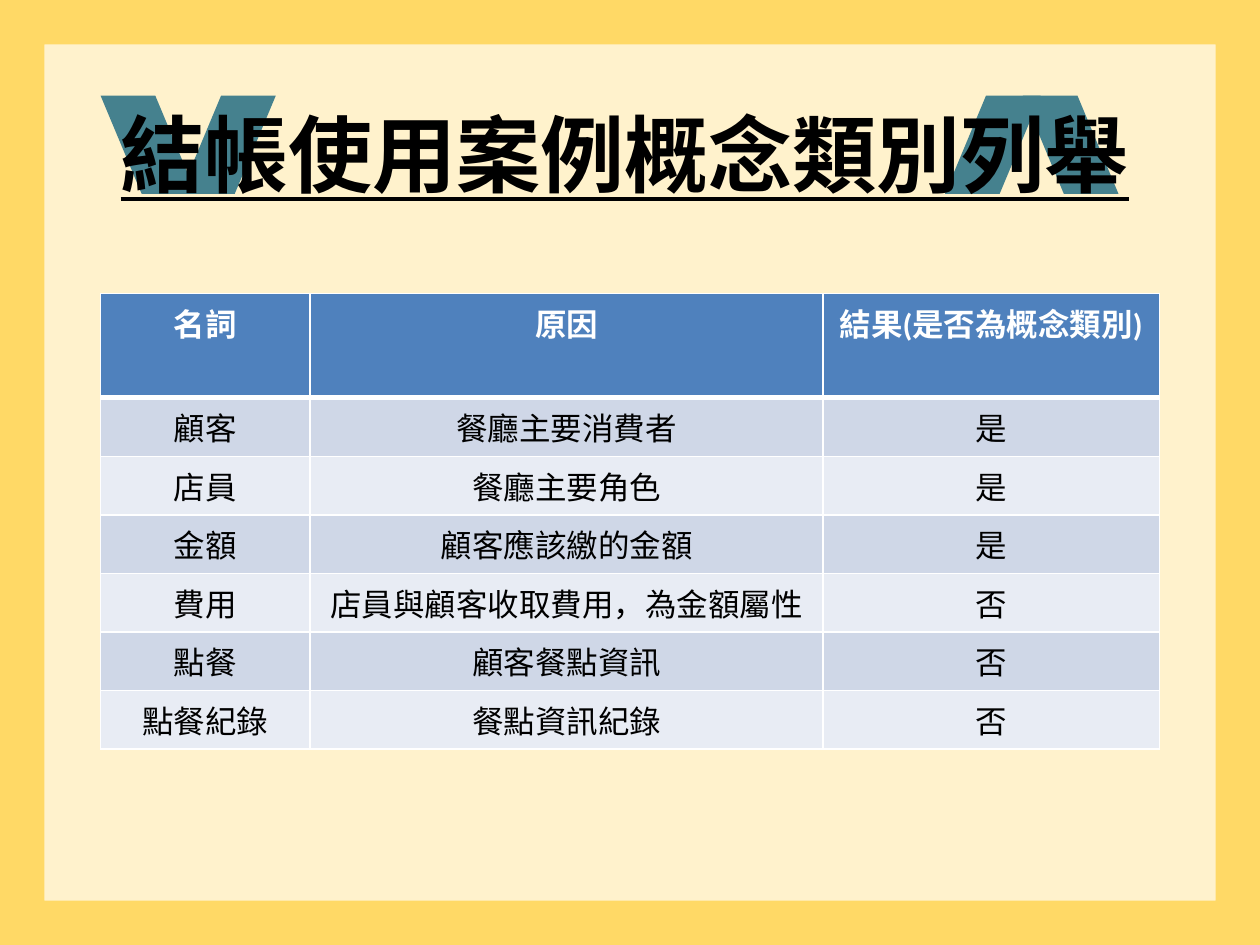
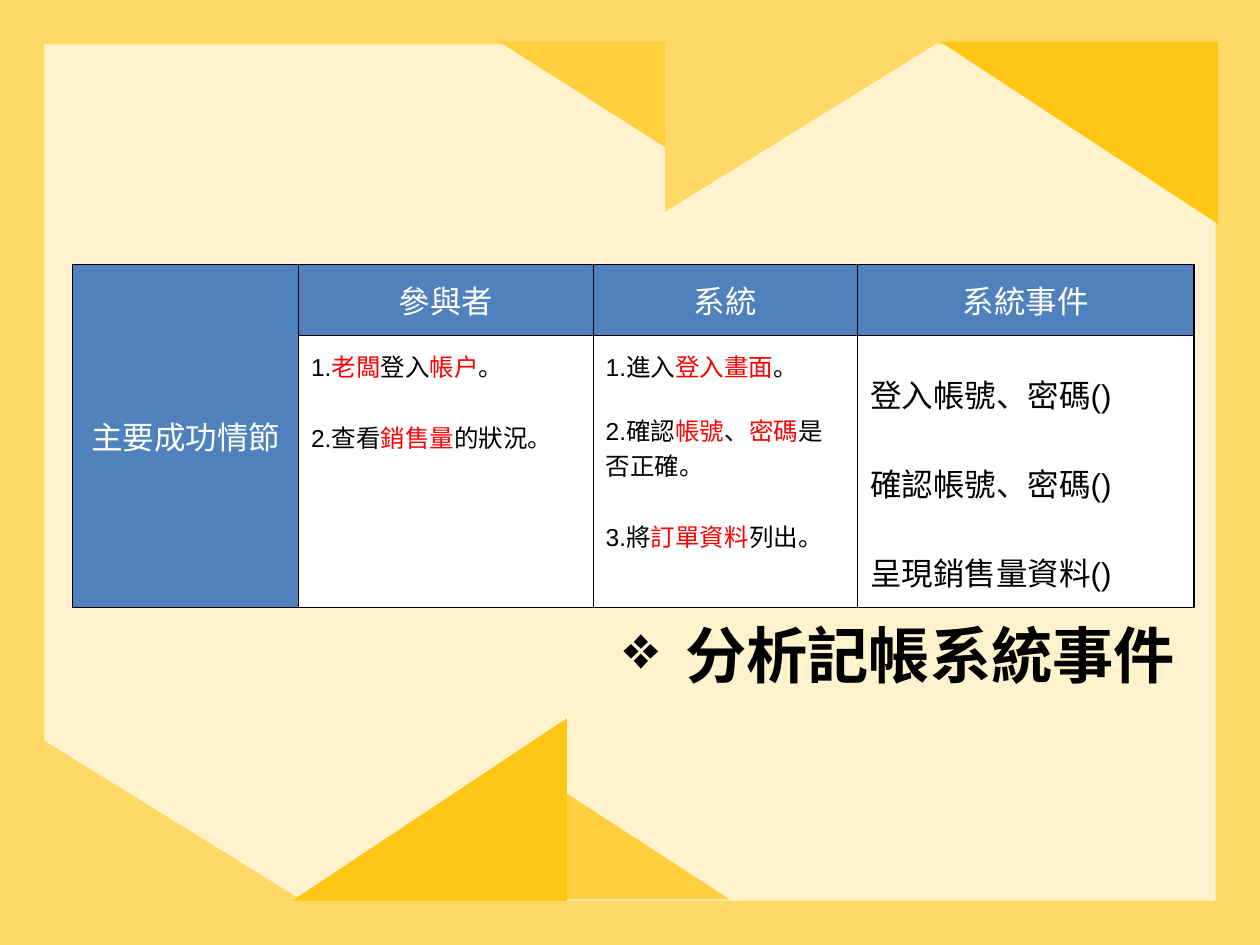
from lxml import etree
from pptx import Presentation
from pptx.dml.color import RGBColor
from pptx.enum.shapes import MSO_SHAPE
from pptx.enum.text import MSO_ANCHOR, MSO_AUTO_SIZE, PP_ALIGN
from pptx.oxml.ns import qn
from pptx.util import Cm, Pt

FRAME, PARALLELOGRAM = MSO_SHAPE.FRAME, MSO_SHAPE.PARALLELOGRAM
TRIANGLE = MSO_SHAPE.RIGHT_TRIANGLE
TOP, MIDDLE, BOTTOM = MSO_ANCHOR.TOP, MSO_ANCHOR.MIDDLE, MSO_ANCHOR.BOTTOM
LEFT, CENTER = PP_ALIGN.LEFT, PP_ALIGN.CENTER
NO_AUTOFIT = MSO_AUTO_SIZE.NONE

CREAM = RGBColor(0xFF, 0xF2, 0xCC)
YELLOW = RGBColor(0xFF, 0xD9, 0x66)
AMBER = RGBColor(0xFF, 0xC6, 0x16)
GOLD = RGBColor(0xFF, 0xCF, 0x3E)
TEAL = RGBColor(0x45, 0x81, 0x8E)
BLUE = RGBColor(0x4F, 0x81, 0xBD)
BAND_DARK = RGBColor(0xCF, 0xD7, 0xE7)
BAND_LIGHT = RGBColor(0xE8, 0xEC, 0xF4)
WHITE = RGBColor(0xFF, 0xFF, 0xFF)
BLACK = RGBColor(0, 0, 0)
RED = RGBColor(0xFF, 0, 0)

CJK = "Noto Sans CJK TC"
TITLE_ONLY = 5


def add_text(p, text, size=18, color=BLACK, font=CJK, bold=False,
             underline=False, align=LEFT, before=0, spacing=None):
    """Fill a paragraph; parts between asterisks turn red."""
    p.alignment = align
    p.space_before = Pt(before)
    if spacing:
        p.line_spacing = spacing
    for i, part in enumerate(text.split("*")):
        if not part:
            continue
        r = p.add_run()
        r.text = part
        f = r.font
        f.size, f.bold, f.underline, f.name = Pt(size), bold, underline, font
        f.color.rgb = RED if i % 2 else color
        ea = etree.SubElement(r._r.get_or_add_rPr(), qn("a:ea"))
        ea.set("typeface", CJK)


def add_bullet(p, char, margin, indent):
    pPr = p._p.get_or_add_pPr()
    pPr.set("marL", str(margin))
    pPr.set("indent", str(indent))
    clr = etree.SubElement(pPr, qn("a:buClr"))
    etree.SubElement(clr, qn("a:srgbClr")).set("val", str(BLACK))
    etree.SubElement(pPr, qn("a:buChar")).set("char", char)


def set_border(cell, side, color, width):
    ln = etree.SubElement(cell._tc.get_or_add_tcPr(), qn("a:ln" + side))
    ln.set("w", str(Pt(width)))
    fill = etree.SubElement(ln, qn("a:solidFill"))
    etree.SubElement(fill, qn("a:srgbClr")).set("val", str(color))


class Deck:
    def __init__(self):
        self.prs = Presentation()
        self.prs.slide_width, self.prs.slide_height = Cm(25.4), Cm(19.05)
        self.slide = None

    def new_slide(self):
        self.slide = self.prs.slides.add_slide(self.prs.slide_layouts[TITLE_ONLY])
        fill = self.slide.background.fill
        fill.solid()
        fill.fore_color.rgb = CREAM
        self.shape(FRAME, 0, 0, 25.4, 19.05, YELLOW, adjust=0.047)

    def shape(self, kind, x, y, w, h, color, flip="", adjust=None):
        sp = self.slide.shapes.add_shape(kind, Cm(x), Cm(y), Cm(w), Cm(h))
        sp.shadow.inherit = False
        sp.fill.solid()
        sp.fill.fore_color.rgb = color
        sp.line.fill.background()
        if adjust is not None:
            sp.adjustments[0] = adjust
        for axis in flip:
            sp.element.spPr.find(qn("a:xfrm")).set("flip" + axis, "1")

    def title(self, text, x, y, w, h, inset=0.13, bullet=None, **fmt):
        sp = self.slide.shapes.title
        sp.left, sp.top, sp.width, sp.height = Cm(x), Cm(y), Cm(w), Cm(h)
        sp.element.getparent().append(sp.element)  # bring to front
        tf = sp.text_frame
        tf.word_wrap, tf.auto_size, tf.vertical_anchor = True, NO_AUTOFIT, TOP
        tf.margin_left = tf.margin_right = Cm(0.25)
        tf.margin_top = tf.margin_bottom = Cm(inset)
        p = tf.paragraphs[0]
        add_text(p, text, bold=True, **fmt)
        if bullet:
            add_bullet(p, bullet, Cm(1.27), Cm(-1.24))

    def table(self, x, y, widths, heights):
        gf = self.slide.shapes.add_table(len(heights), len(widths), Cm(x), Cm(y),
                                         Cm(sum(widths)), Cm(sum(heights)))
        table = gf.table
        table.first_row = table.horz_banding = False
        for col, w in zip(table.columns, widths):
            col.width = Cm(w)
        for row, h in zip(table.rows, heights):
            row.height = Cm(h)
        return table

    def cell(self, cell, paragraphs, fill, border, widths, inset=0.13,
             anchor=TOP, gaps=(), **fmt):
        """widths: line widths left, right, top, bottom; gaps: space before later paragraphs."""
        for side, width in zip("LRTB", widths):
            set_border(cell, side, border, width)
        cell.fill.solid()
        cell.fill.fore_color.rgb = fill
        cell.vertical_anchor = anchor
        cell.margin_left = cell.margin_right = Cm(0.25)
        cell.margin_top = cell.margin_bottom = Cm(inset)
        tf = cell.text_frame
        for i, text in enumerate(paragraphs):
            p = tf.add_paragraph() if i else tf.paragraphs[0]
            add_text(p, text, before=gaps[i - 1] if i else 0, **fmt)


def concept_classes(deck):
    rows = [
        ("名詞", "原因", "結果(是否為概念類別)"),
        ("顧客", "餐廳主要消費者", "是"),
        ("店員", "餐廳主要角色", "是"),
        ("金額", "顧客應該繳的金額", "是"),
        ("費用", "店員與顧客收取費用，為金額屬性", "否"),
        ("點餐", "顧客餐點資訊", "否"),
        ("點餐紀錄", "餐點資訊紀錄", "否"),
    ]
    deck.new_slide()
    table = deck.table(2.03, 5.92, [4.22, 10.34, 6.78], [2.08] + [1.17] * 6)
    for i, row in enumerate(rows):
        header = i == 0
        fill = BLUE if header else BAND_DARK if i % 2 else BAND_LIGHT
        widths = (1, 1, 3 if i == 1 else 1, 3 if header else 1)
        for j, text in enumerate(row):
            deck.cell(table.cell(i, j), [text], fill, WHITE, widths, font="Calibri",
                      align=CENTER, bold=header, color=WHITE if header else BLACK)
    for x, flip in ((2.03, "H"), (20.62, "H"), (3.63, ""), (19.05, "")):
        deck.shape(PARALLELOGRAM, x, 1.93, 1.93, 1.98, TEAL, flip, adjust=0.429)
    deck.title("結帳使用案例概念類別列舉", 2.18, 1.93, 21.03, 2.31,
               size=48, underline=True)


def system_events(deck):
    triangles = [
        (0.81, 14.88, 5.54, 3.43, YELLOW, ""),
        (5.89, 14.48, 5.54, 3.68, AMBER, "H"),
        (11.43, 16, 3.28, 2.13, GOLD, ""),
        (13.41, 0.84, 5.54, 3.43, YELLOW, "V"),
        (18.95, 0.84, 5.61, 3.68, AMBER, "HV"),
        (10.06, 0.84, 3.35, 2.13, GOLD, "HV"),
    ]
    steps = [
        (["1.*老闆*登入*帳戶*。", "2.查看*銷售量*的狀況。"], [20]),
        (["1.進入*登入畫面*。", "2.確認*帳號*、*密碼*是否正確。", "3.將*訂單資料*列出。"],
         [16, 20]),
    ]
    events = ["登入帳號、密碼()", "確認帳號、密碼()", "呈現銷售量資料()"]
    grid = dict(border=BLACK, widths=[0.75] * 4, inset=0.25)
    head = dict(grid, fill=BLUE, color=WHITE, align=CENTER)

    deck.new_slide()
    for triangle in triangles:
        deck.shape(TRIANGLE, *triangle)
    table = deck.table(1.47, 5.33, [4.55, 5.94, 5.33, 6.78], [1.43, 5.48])
    table.cell(0, 0).merge(table.cell(1, 0))
    deck.cell(table.cell(0, 0), ["主要成功情節"], anchor=MIDDLE, **head)
    for j, text in enumerate(("參與者", "系統", "系統事件"), 1):
        deck.cell(table.cell(0, j), [text], **head)
    for j, (lines, gaps) in enumerate(steps, 1):
        deck.cell(table.cell(1, j), lines, WHITE, gaps=gaps, size=14,
                  font="Arial", **grid)
    deck.cell(table.cell(1, 3), events, WHITE, gaps=[12, 12], anchor=BOTTOM,
              font="Arial", spacing=1.5, **grid)
    deck.title("分析記帳系統事件", 12.29, 12.19, 11.79, 2.01, inset=0.25,
               bullet="❖", size=35)


def main():
    deck = Deck()
    concept_classes(deck)
    system_events(deck)
    deck.prs.save("out.pptx")


if __name__ == "__main__":
    main()
